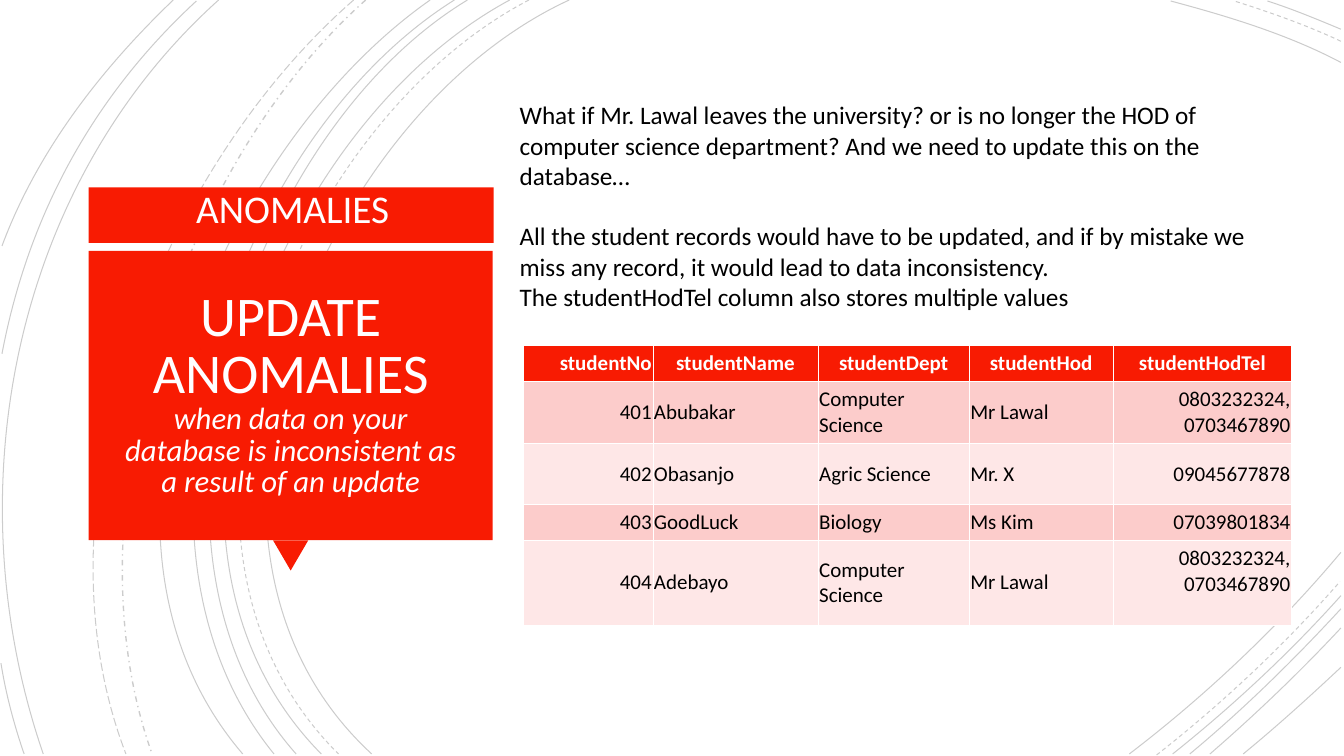
from lxml import etree
from pptx import Presentation
from pptx.dml.color import RGBColor
from pptx.enum.dml import MSO_LINE
from pptx.enum.shapes import MSO_SHAPE
from pptx.enum.text import MSO_ANCHOR, MSO_AUTO_SIZE, PP_ALIGN
from pptx.oxml.ns import qn
from pptx.util import Pt

PX = 9144
FONT = "Calibri"
RED = RGBColor(0xF8, 0x1B, 0x02)
PINK = RGBColor(0xFC, 0xCC, 0xCB)
PALE = RGBColor(0xFE, 0xE7, 0xE7)
WHITE = RGBColor(0xFF, 0xFF, 0xFF)
OFF_WHITE = RGBColor(0xFF, 0xFE, 0xFF)
BLACK = RGBColor(0x00, 0x00, 0x00)
SOLID, DASH = MSO_LINE.SOLID, MSO_LINE.DASH
DASH_DOT, LONG_DASH = MSO_LINE.DASH_DOT, MSO_LINE.LONG_DASH
LEFT, CENTER, RIGHT = PP_ALIGN.LEFT, PP_ALIGN.CENTER, PP_ALIGN.RIGHT
TOP, MIDDLE = MSO_ANCHOR.TOP, MSO_ANCHOR.MIDDLE


def set_font(font, size, color, bold=False):
    font.name = FONT
    font.size = Pt(size)
    font.color.rgb = color
    font.bold = bold


def set_frame(frame, anchor, inset_x, inset_y):
    frame.word_wrap = True
    frame.auto_size = MSO_AUTO_SIZE.NONE
    frame.vertical_anchor = anchor
    frame.margin_left = frame.margin_right = inset_x * PX
    frame.margin_top = frame.margin_bottom = inset_y * PX


deck = Presentation()
deck.slide_width = 1334 * PX
deck.slide_height = 750 * PX
page = deck.slides.add_slide(deck.slide_layouts[5])

arcs = [
    ((565, 0), (315, 115), (143, 540), (369, 748), SOLID),
    ((1331, 62), (1278, 34), (1218, 16), (1162, 1), SOLID),
    ((1121, 748), (1197, 690), (1269, 622), (1331, 548), SOLID),
    ((525, 0), (285, 125), (123, 537), (336, 748), DASH),
    ((1331, 41), (1297, 25), (1260, 12), (1225, 1), DASH),
    ((1148, 749), (1213, 698), (1275, 640), (1330, 577), DASH),
    ((506, 0), (270, 127), (110, 537), (319, 748), SOLID),
    ((1331, 29), (1307, 19), (1283, 9), (1258, 1), SOLID),
    ((1164, 748), (1223, 701), (1280, 648), (1331, 591), SOLID),
    ((464, 0), (244, 133), (110, 541), (294, 748), SOLID),
    ((1181, 748), (1234, 704), (1284, 655), (1331, 604), SOLID),
    ((451, 0), (231, 138), (97, 533), (272, 748), SOLID),
    ((1201, 748), (1246, 709), (1290, 667), (1331, 623), SOLID),
    ((427, 0), (217, 147), (53, 529), (241, 748), SOLID),
    ((1234, 748), (1267, 721), (1299, 692), (1331, 662), SOLID),
    ((363, 0), (176, 166), (65, 509), (151, 748), DASH_DOT),
    ((351, 0), (157, 169), (29, 499), (125, 748), LONG_DASH),
    ((217, 0), (11, 185), (-46, 490), (43, 748), SOLID),
    ((195, 1), (92, 96), (28, 214), (2, 351), SOLID),
    ((1, 658), (6, 689), (14, 719), (24, 748), SOLID),
    ((172, 0), (100, 69), (37, 150), (2, 244), SOLID),
]
for *controls, dash in arcs:
    builder = page.shapes.build_freeform(*controls[0], scale=PX)
    builder.add_line_segments(controls[1:], close=False)
    arc = builder.convert_to_shape()
    outline = arc.element.find(".//" + qn("a:path"))
    curve = etree.SubElement(outline, qn("a:cubicBezTo"))
    for segment in outline.findall(qn("a:lnTo")):
        curve.append(segment[0])
        outline.remove(segment)
    arc.shadow.inherit = False
    arc.fill.background()
    arc.line.color.rgb = BLACK
    arc.line.width = Pt(1 if dash == DASH_DOT else 0.75)
    arc.line.dash_style = dash
    color = arc.element.spPr.find(qn("a:ln")).find(".//" + qn("a:srgbClr"))
    etree.SubElement(color, qn("a:alpha"), val="20000")

panels = [
    (MSO_SHAPE.RECTANGLE, 88, 186, 402, 55, 0),
    (MSO_SHAPE.ISOSCELES_TRIANGLE, 271, 536, 35, 30, 180),
    (MSO_SHAPE.RECTANGLE, 88, 249, 401, 287, 0),
]
for kind, left, top, width, height, turn in panels:
    panel = page.shapes.add_shape(kind, left * PX, top * PX, width * PX, height * PX)
    panel.rotation = turn
    panel.shadow.inherit = False
    panel.fill.solid()
    panel.fill.fore_color.rgb = RED
    panel.line.fill.background()

rows = [
    ("studentNo", "studentName", "studentDept", "studentHod", "studentHodTel"),
    ("401", "Abubakar", "Computer Science", "Mr Lawal", "0803232324, 0703467890"),
    ("402", "Obasanjo", "Agric Science", "Mr. X", "09045677878"),
    ("403", "GoodLuck", "Biology", "Ms Kim", "07039801834"),
    ("404", "Adebayo", "Computer Science", "Mr Lawal", "0803232324, 0703467890"),
]
column_widths = [129, 164, 150, 143, 177]
row_heights = [35, 61, 61, 35, 84]
header_aligns = [RIGHT, CENTER, CENTER, CENTER, CENTER]
body_aligns = [RIGHT, LEFT, LEFT, LEFT, RIGHT]
table = page.shapes.add_table(
    len(rows), len(column_widths), 519 * PX, 343 * PX,
    sum(column_widths) * PX, sum(row_heights) * PX).table
for column, width in zip(table.columns, column_widths):
    column.width = width * PX
for r, values in enumerate(rows):
    table.rows[r].height = row_heights[r] * PX
    for c, value in enumerate(values):
        cell = table.cell(r, c)
        cell.text = value
        cell.margin_left = cell.margin_right = Pt(0.8)
        cell.margin_top = cell.margin_bottom = 5 * PX
        cell.vertical_anchor = TOP if (r, c) == (4, 4) else MIDDLE
        para = cell.text_frame.paragraphs[0]
        para.alignment = body_aligns[c] if r else header_aligns[c]
        set_font(para.font, 15, BLACK if r else WHITE, bold=r == 0)
        properties = cell._tc.get_or_add_tcPr()
        for side in ("L", "R", "T", "B"):
            heavy = (r, side) in ((0, "B"), (1, "T"))
            border = etree.SubElement(
                properties, qn("a:ln" + side), w=str(Pt(1.47 if heavy else 0.45)))
            paint = etree.SubElement(border, qn("a:solidFill"))
            etree.SubElement(paint, qn("a:srgbClr"), val=str(WHITE))
        cell.fill.solid()
        cell.fill.fore_color.rgb = (PINK if r % 2 else PALE) if r else RED

story = page.shapes.add_textbox(506 * PX, 94 * PX, 766 * PX, 250 * PX)
set_frame(story.text_frame, TOP, 10, 5)
story.text_frame.text = "\n".join([
    "What if Mr. Lawal leaves the university? or is no longer the HOD of computer "
    "science department? And we need to update this on the database…",
    "All the student records would have to be updated, and if by mistake we miss any "
    "record, it would lead to data inconsistency.",
    "The studentHodTel column also stores multiple values",
])
for para in story.text_frame.paragraphs:
    set_font(para.font, 18, BLACK)
story.text_frame.paragraphs[1].space_before = Pt(21.6)

title = page.shapes.title
title.left, title.top, title.width, title.height = 97 * PX, 257 * PX, 383 * PX, 269 * PX
page.shapes.element.append(title.element)
set_frame(title.text_frame, MIDDLE, 25, 25)
para = title.text_frame.paragraphs[0]
para.alignment = CENTER
para.line_spacing = 0.85
span = para.add_run()
span.text = "UPDATE ANOMALIES"
set_font(span.font, 40, OFF_WHITE)
para.add_line_break()
span = para.add_run()
span.text = "when data on your database is inconsistent as a result of an update"
set_font(span.font, 22, OFF_WHITE)
span.font.italic = True

label = page.shapes.add_textbox(116 * PX, 182 * PX, 349 * PX, 56 * PX)
set_frame(label.text_frame, MIDDLE, 25, 25)
para = label.text_frame.paragraphs[0]
para.text = "ANOMALIES"
para.alignment = CENTER
para.line_spacing = 0.85
set_font(para.font, 28, OFF_WHITE)

deck.save("out.pptx")
